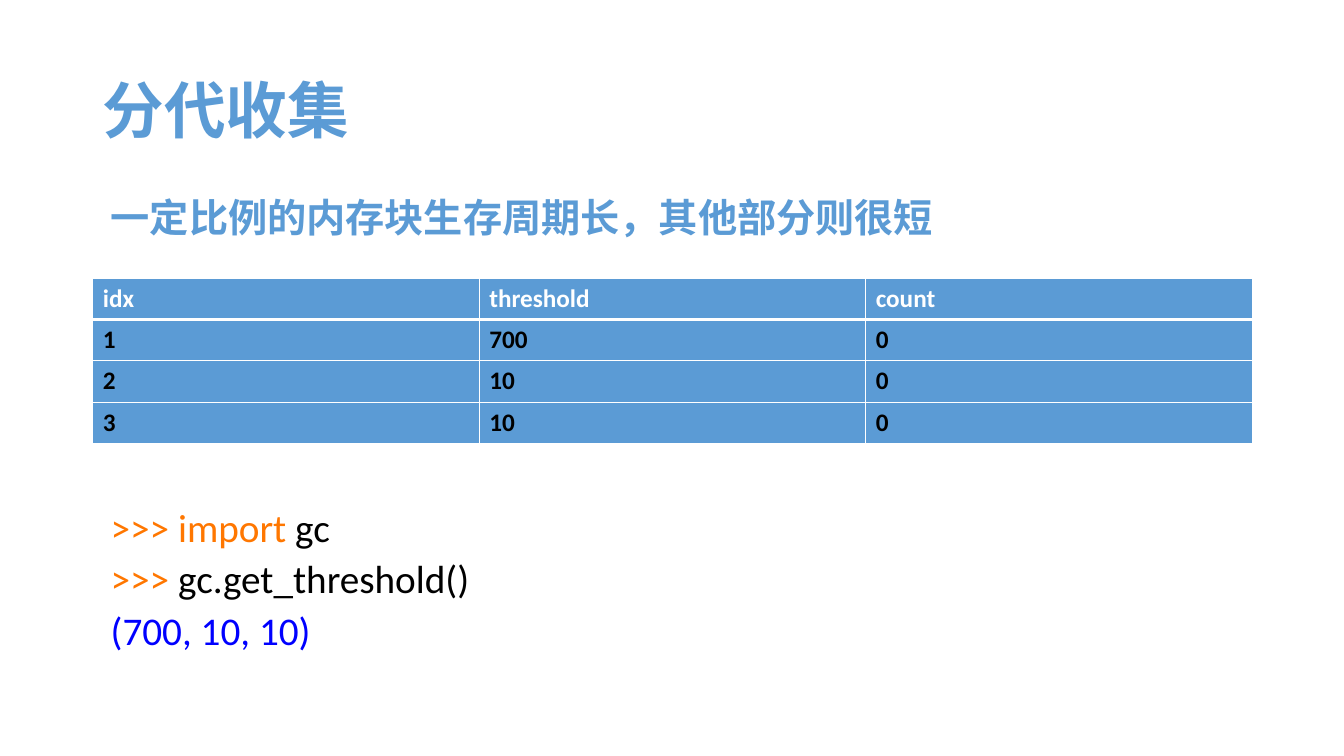
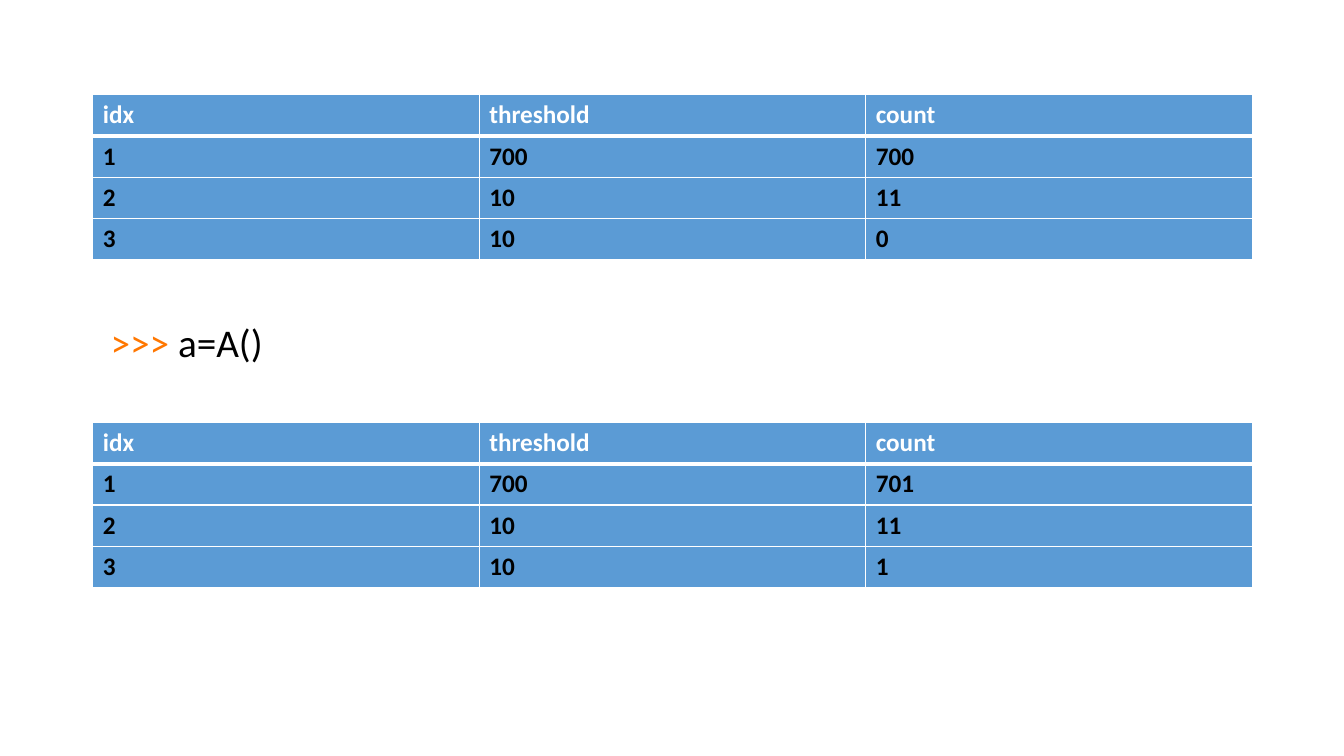
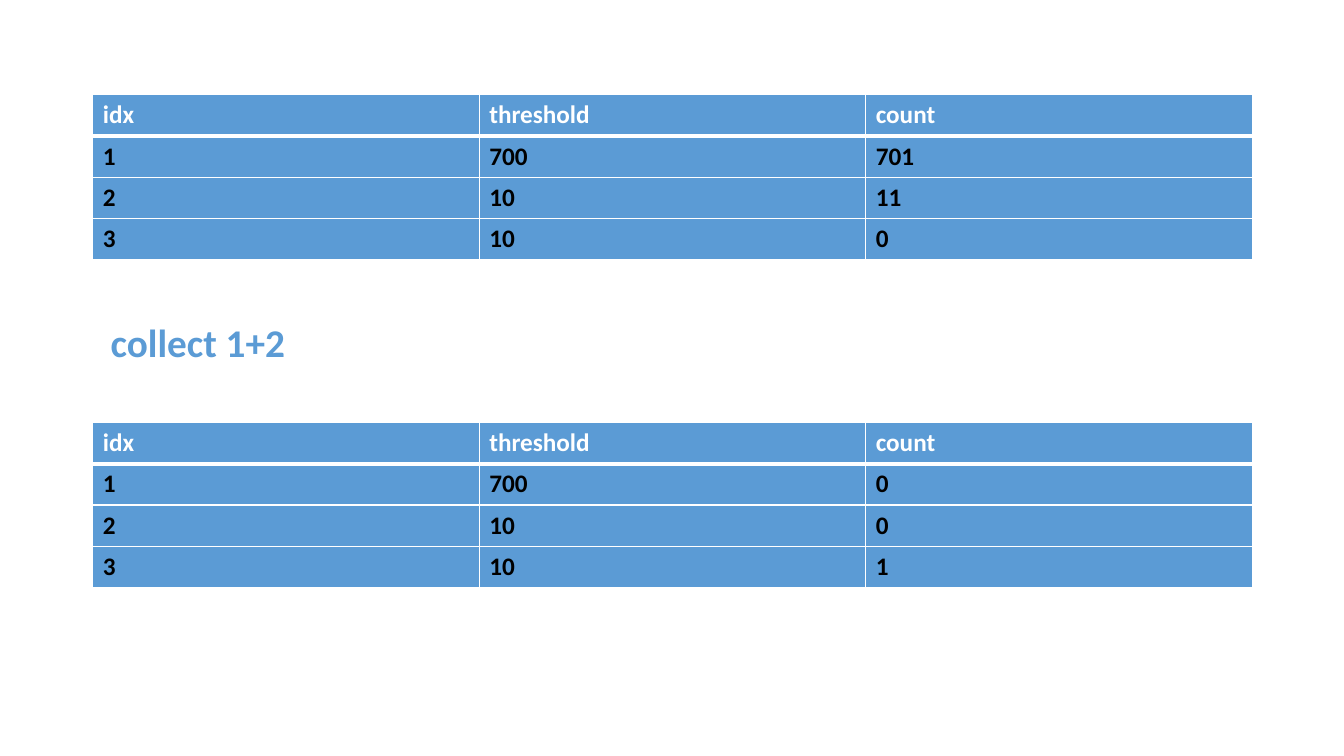
from lxml.etree import SubElement
from pptx import Presentation
from pptx.dml.color import RGBColor
from pptx.enum.text import MSO_ANCHOR
from pptx.oxml.ns import qn
from pptx.util import Inches, Pt

BLUE = RGBColor(0x5B, 0x9B, 0xD5)
ORANGE = RGBColor(0xFF, 0x77, 0x00)
RESULT_BLUE = RGBColor(0x00, 0x00, 0xFF)
BLACK = RGBColor(0x00, 0x00, 0x00)
WHITE = RGBColor(0xFF, 0xFF, 0xFF)

FONT = "Calibri"
HEADINGS = ("idx", "threshold", "count")
THRESHOLDS = (700, 10, 10)
MARGIN = 0.92
INDENT = 1
CONTENT_WIDTH = 11.5
ROW_HEIGHT = 0.41
UPPER_TOP, MIDDLE_TOP, LOWER_TOP = 0.94, 3.16, 4.19


class Deck:
    def __init__(self):
        self.presentation = Presentation()
        self.presentation.slide_width = Inches(13.33)
        self.presentation.slide_height = Inches(7.5)
        self.slide = None

    def new_slide(self):
        blank = self.presentation.slide_layouts[6]
        self.slide = self.presentation.slides.add_slide(blank)

    def add_words(self, paragraph, words, color, size, bold=False):
        run = paragraph.add_run()
        run.text = words
        run.font.name = FONT
        run.font.size = Pt(size)
        run.font.bold = bold
        run.font.color.rgb = color

    def text(self, left, top, width, height, lines, size=28, bold=False,
             spacing=1.0, before=0, anchor=MSO_ANCHOR.TOP, wrap=True):
        box = self.slide.shapes.add_textbox(
            Inches(left), Inches(top), Inches(width), Inches(height))
        frame = box.text_frame
        frame.word_wrap = wrap
        frame.vertical_anchor = anchor
        for index, line in enumerate(lines):
            paragraph = frame.add_paragraph() if index else frame.paragraphs[0]
            paragraph.line_spacing = spacing
            paragraph.space_before = Pt(before)
            for words, color in line:
                self.add_words(paragraph, words, color, size, bold)

    def title(self, words):
        self.text(MARGIN, 0.4, CONTENT_WIDTH, 1.45, [[(words, BLUE)]], size=44,
                  bold=True, spacing=0.9, anchor=MSO_ANCHOR.MIDDLE)

    def subtitle(self, words):
        self.text(INDENT, 1.87, 8.49, 0.57, [[(words, BLUE)]], bold=True, wrap=False)

    def code(self, lines):
        self.text(INDENT, 5.03, CONTENT_WIDTH, 1.59, lines, spacing=0.8, before=10)

    def step(self, line, bold=False):
        self.text(INDENT, MIDDLE_TOP, CONTENT_WIDTH, 0.55, [line], bold=bold,
                  spacing=0.9, before=10)

    def borders(self, cell, **widths):
        properties = cell._tc.get_or_add_tcPr()
        for side in "LRTB":
            line = SubElement(properties, qn(f"a:ln{side}"),
                              w=str(Pt(widths.get(side, 1))))
            fill = SubElement(line, qn("a:solidFill"))
            SubElement(fill, qn("a:srgbClr"), val=str(WHITE))

    def generations(self, top, counts):
        rows = [HEADINGS, *zip(range(1, 4), THRESHOLDS, counts)]
        table = self.slide.shapes.add_table(
            len(rows), len(HEADINGS), Inches(MARGIN), Inches(top),
            Inches(CONTENT_WIDTH), Inches(ROW_HEIGHT * len(rows))).table
        for row, values in enumerate(rows):
            table.rows[row].height = Inches(ROW_HEIGHT)
            for column, value in enumerate(values):
                cell = table.cell(row, column)
                self.borders(cell, B=1 if row else 3, T=3 if row == 1 else 1)
                cell.fill.solid()
                cell.fill.fore_color.rgb = BLUE
                self.add_words(cell.text_frame.paragraphs[0], str(value),
                               BLACK if row else WHITE, 18, bold=True)

    def before_and_after(self, before, step, after, bold=False):
        self.new_slide()
        self.generations(UPPER_TOP, before)
        self.step(step, bold)
        self.generations(LOWER_TOP, after)


def main():
    deck = Deck()

    deck.new_slide()
    deck.title("分代收集")
    deck.code([
        [(">>> import", ORANGE), (" gc", BLACK)],
        [(">>>", ORANGE), (" gc.get_threshold()", BLACK)],
        [("(700, 10, 10)", RESULT_BLUE)],
    ])
    deck.subtitle("一定比例的内存块生存周期长，其他部分则很短")
    deck.generations(2.76, (0, 0, 0))

    deck.before_and_after((700, 11, 0), [(">>>", ORANGE), (" a=A()", BLACK)],
                          (701, 11, 1))
    deck.before_and_after((701, 11, 0), [("collect 1+2", BLUE)], (0, 0, 1), bold=True)

    deck.presentation.save("out.pptx")


if __name__ == "__main__":
    main()
